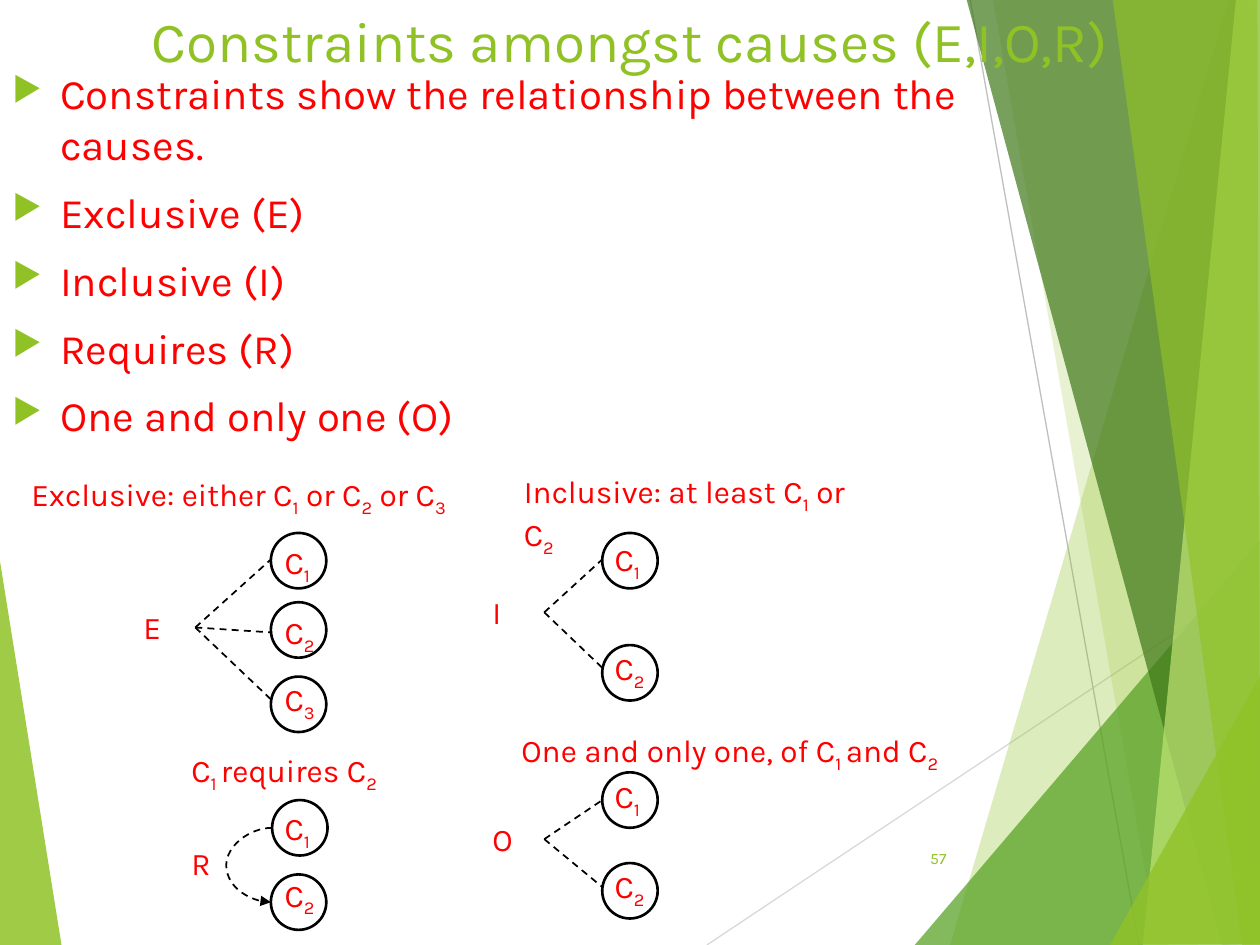
from lxml.etree import SubElement
from pptx import Presentation
from pptx.dml.color import RGBColor
from pptx.enum.dml import MSO_LINE
from pptx.enum.shapes import MSO_CONNECTOR, MSO_SHAPE
from pptx.enum.text import MSO_ANCHOR, PP_ALIGN
from pptx.oxml.ns import qn
from pptx.util import Inches, Pt

GREEN, RED, BLACK = "90C226", "FF0000", "000000"
CIRCLE = 0.44

# Backdrop facets: colour, opacity in percent, corner points
LEFT_FACET = (GREEN, 85, [(-0.01, 4.39), (0.49, 7.51), (-0.01, 7.5)])
RIGHT_FACETS = [
    (GREEN, 30, [(9.75, 0), (7.54, 7.5), (10.02, 7.51), (10.01, 0.01)]),
    (GREEN, 20, [(7.88, -0.01), (9.19, 7.5), (10.01, 7.5), (10.01, -0.01)]),
    ("54A021", 72, [(7.26, 7.5), (10, 4.29), (10.01, 7.5)]),
    ("3F7819", 70, [(7.67, -0.01), (9.7, 7.5), (10.01, 7.49), (10.01, -0.01)]),
    ("C0E474", 70, [(9.81, -0.01), (9.07, 7.5), (10.01, 7.5), (10, -0.01)]),
    (GREEN, 65, [(8.83, -0.01), (9.86, 7.5), (10, 7.5), (9.98, -0.01)]),
    (GREEN, 80, [(8.81, 7.5), (10.01, 5.35), (10.01, 7.49)]),
]
BACKDROP_LINES = [
    ((5.61, 7.5), (10.01, 4.57), "D9D9D9"),
    ((7.7, 0), (9.04, 7.5), "BFBFBF"),
]

TITLE = "Constraints amongst causes (E,I,O,R)"
BULLETS = [
    "Constraints show the relationship between the causes.",
    "Exclusive (E)",
    "Inclusive (I)",
    "Requires (R)",
    "One and only one (O)",
]

# Text between bars is subscript.
# Causes: number, circle left, circle top, label left, label top
# Links: the fan point, then the end of each dashed line
DIAGRAMS = [
    dict(caption="Exclusive: either C|1| or C|2| or C|3", caption_box=(0.15, 3.72, 3.65, 0.4),
         letter="E", letter_at=(1.04, 4.78),
         causes=[(1, 2.15, 4.23, 2.16, 4.26), (2, 2.15, 4.78, 2.16, 4.82),
                 (3, 2.15, 5.37, 2.16, 5.35)],
         fan=(1.55, 4.98), ends=[(2.15, 4.44), (2.16, 5.02), (2.16, 5.56)]),
    dict(caption="Inclusive: at least C|1| or C|2", caption_box=(4.06, 3.7, 2.82, 0.71),
         letter="I", letter_at=(3.81, 4.66),
         causes=[(1, 4.78, 4.23, 4.78, 4.24), (2, 4.78, 5.12, 4.78, 5.1)],
         fan=(4.32, 4.86), ends=[(4.78, 4.44), (4.78, 5.3)]),
    dict(caption="C|1 |requires C|2", caption_box=(1.42, 5.91, 1.78, 0.4),
         letter="R", letter_at=(1.42, 6.65),
         causes=[(1, 2.16, 6.35, 2.16, 6.37), (2, 2.15, 6.94, 2.16, 6.9)],
         fan=None, ends=[]),
    dict(caption="One and only one, of C|1 |and C|2", caption_box=(4.04, 5.75, 3.65, 0.4),
         letter="O", letter_at=(3.81, 6.46),
         causes=[(1, 4.78, 6.13, 4.78, 6.12), (2, 4.78, 6.85, 4.78, 6.83)],
         fan=(4.32, 6.66), ends=[(4.78, 6.35), (4.78, 7.04)]),
]
REQUIRES_ARC = ((2.16, 6.57), (2.15, 7.16))
ARC_BULGE = 37  # in multiples of the arc's width of 0.01 inch


def color(value):
    return RGBColor.from_string(value)


def add_bullet(para):
    props = para._p.get_or_add_pPr()
    props.set("marL", str(Inches(0.38)))
    props.set("indent", str(-Inches(0.38)))
    tint = SubElement(props, qn("a:buClr"))
    SubElement(tint, qn("a:srgbClr"), val=GREEN)
    SubElement(props, qn("a:buSzPct"), val="80000")
    SubElement(props, qn("a:buChar"), char="▶")


def add_text(page, lines, bounds, size=18, ink=RED, align=PP_ALIGN.LEFT,
             anchor=MSO_ANCHOR.TOP, bullets=False):
    frame = page.shapes.add_textbox(*map(Inches, bounds)).text_frame
    frame.word_wrap = True
    frame.vertical_anchor = anchor
    for index, line in enumerate(lines):
        para = frame.add_paragraph() if index else frame.paragraphs[0]
        para.alignment = align
        if index:
            para.space_before = Pt(10)
        if bullets:
            add_bullet(para)
        for part, text in enumerate(line.split("|")):
            span = para.add_run()
            span.text = text
            span.font.name = "Karla"
            span.font.size = Pt(size)
            span.font.color.rgb = color(ink)
            if part % 2:
                span.font._element.set("baseline", "-25000")


def add_facet(page, fill, opacity, points):
    corners = [(Inches(x), Inches(y)) for x, y in points]
    builder = page.shapes.build_freeform(*corners[0])
    builder.add_line_segments(corners[1:], close=True)
    facet = builder.convert_to_shape()
    facet.shadow.inherit = False
    facet.fill.solid()
    facet.fill.fore_color.rgb = color(fill)
    facet.line.fill.background()
    tint = facet._element.spPr.find(qn("a:solidFill"))[0]
    SubElement(tint, qn("a:alpha"), val=str(opacity * 1000))


def add_line(page, start, end, ink=BLACK, width=1, dashed=True, kind=MSO_CONNECTOR.STRAIGHT):
    line = page.shapes.add_connector(kind, *map(Inches, start + end))
    line.line.color.rgb = color(ink)
    line.line.width = Pt(width)
    if dashed:
        line.line.dash_style = MSO_LINE.DASH
    SubElement(line._element.spPr, qn("a:effectLst"))
    return line


def add_circle(page, left, top):
    circle = page.shapes.add_shape(MSO_SHAPE.OVAL, *map(Inches, (left, top, CIRCLE, CIRCLE)))
    circle.shadow.inherit = False
    circle.fill.background()
    circle.line.color.rgb = color(BLACK)
    circle.line.width = Pt(1.5)


def add_diagram(page, diagram):
    for number, left, top, label_left, label_top in diagram["causes"]:
        add_circle(page, left, top)
        add_text(page, [f"C|{number}"], (label_left, label_top, 0.51, 0.4))
    add_text(page, [diagram["letter"]], diagram["letter_at"] + (0.51, 0.4))
    add_text(page, [diagram["caption"]], diagram["caption_box"])
    for end in diagram["ends"]:
        add_line(page, diagram["fan"], end)


def add_requires_arc(page):
    arc = add_line(page, *REQUIRES_ARC, kind=MSO_CONNECTOR.CURVE)
    SubElement(arc.line._get_or_add_ln(), qn("a:tailEnd"), type="triangle")
    guides = arc._element.spPr.find(qn("a:prstGeom")).find(qn("a:avLst"))
    SubElement(guides, qn("a:gd"), name="adj1", fmla=f"val {ARC_BULGE * 100000}")


def main():
    deck = Presentation()
    deck.slide_width, deck.slide_height = Inches(10), Inches(7.5)
    page = deck.slides.add_slide(deck.slide_layouts[6])

    add_facet(page, *LEFT_FACET)
    for start, end, ink in BACKDROP_LINES:
        add_line(page, start, end, ink, width=0.75, dashed=False)
    for facet in RIGHT_FACETS:
        add_facet(page, *facet)

    add_text(page, [TITLE], (0, 0, 10, 0.49), size=32.4, ink=GREEN, align=PP_ALIGN.CENTER)
    add_text(page, BULLETS, (0, 0.49, 8.63, 3.2), size=24, bullets=True)
    for diagram in DIAGRAMS:
        add_diagram(page, diagram)
    add_requires_arc(page)
    add_text(page, ["57"], (7.05, 6.61, 0.56, 0.4), size=9, ink=GREEN,
             align=PP_ALIGN.RIGHT, anchor=MSO_ANCHOR.MIDDLE)
    deck.save("out.pptx")


if __name__ == "__main__":
    main()
